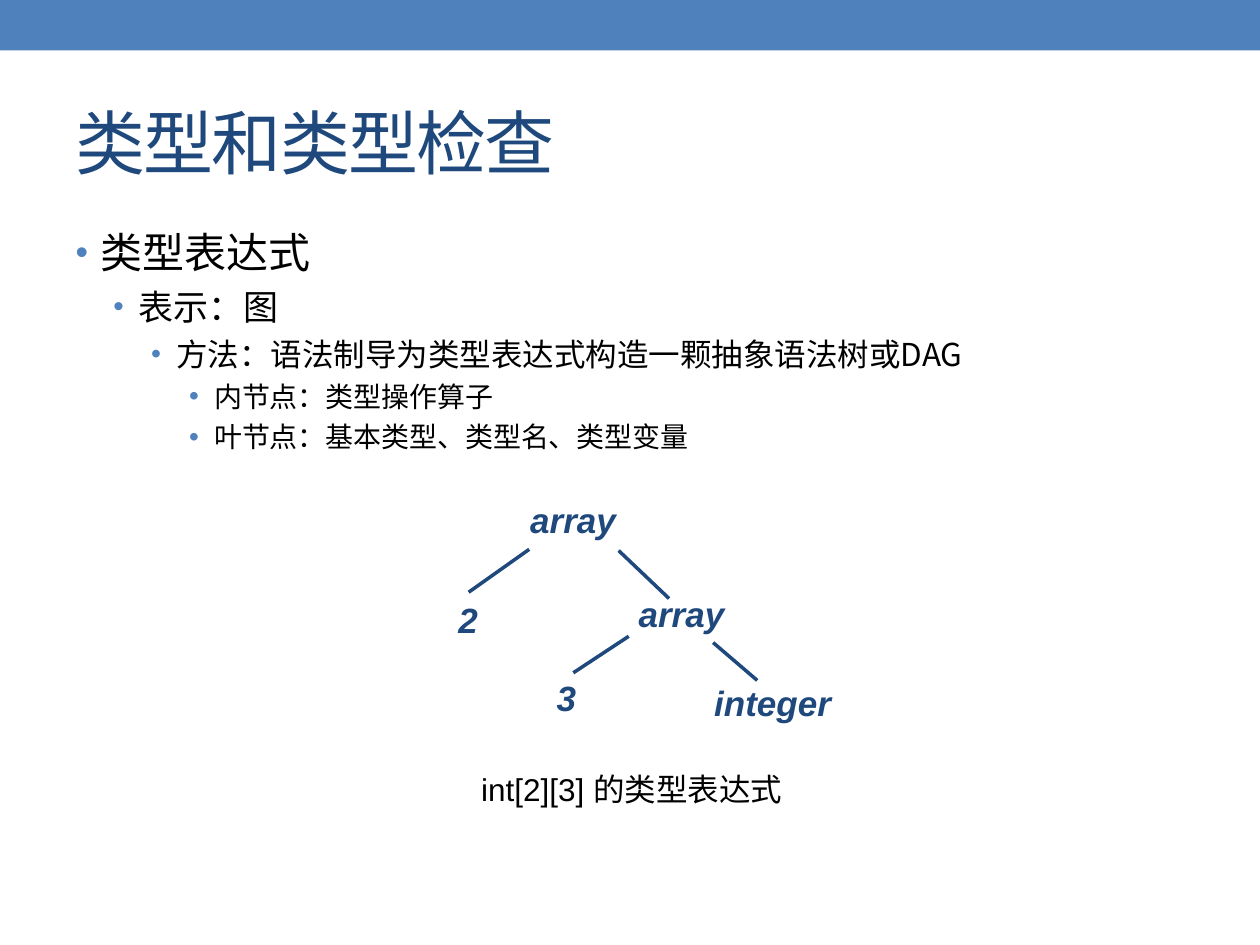
from lxml import etree
from pptx import Presentation
from pptx.dml.color import RGBColor
from pptx.enum import shapes, text
from pptx.oxml import ns
from pptx.util import Inches, Pt

CJK = "Noto Sans CJK SC"
BLUE, NAVY, BLACK = "4F81BD", "1F497D", "000000"


def rgb(value):
    return RGBColor.from_string(value)


def add_run(p, words, color, **fmt):
    """Add a run whose East Asian glyphs use the CJK font."""
    r = p.add_run()
    r.text = words
    for name, value in fmt.items():
        setattr(r.font, name, value)
    r.font.color.rgb = rgb(color)
    etree.SubElement(r.font._element, ns.qn("a:ea"), typeface=CJK)
    return r


prs = Presentation()
prs.slide_width, prs.slide_height = Inches(10), Inches(7.5)
s = prs.slides.add_slide(prs.slide_layouts[1])

# Top band
band = s.shapes.add_shape(shapes.MSO_SHAPE.RECTANGLE, 0, 0, prs.slide_width, Inches(0.4))
band.shadow.inherit = False
band.fill.solid()
band.fill.fore_color.rgb = rgb(BLUE)
band.line.fill.background()

# Title
title, body = s.placeholders
title.left, title.top, title.width, title.height = map(Inches, (0.5, 0.58, 9, 1.08))
tf = title.text_frame
tf.vertical_anchor = text.MSO_ANCHOR.MIDDLE
tf.paragraphs[0].alignment = text.PP_ALIGN.LEFT
r = add_run(tf.paragraphs[0], "类型和类型检查", NAVY, name=CJK, size=Pt(40))
r.font._element.set("spc", "-100")

# Bulleted list: level, size, bullet percentage, words
items = [
    (0, 24, 85, "类型表达式"),
    (1, 20, 85, "表示：图"),
    (2, 18, 90, "方法：语法制导为类型表达式构造一颗抽象语法树或DAG"),
    (3, 16, 100, "内节点：类型操作算子"),
    (3, 16, 100, "叶节点：基本类型、类型名、类型变量"),
]
body.left, body.top, body.width, body.height = map(Inches, (0.5, 1.75, 9, 5.33))
tf = body.text_frame
tf.auto_size = text.MSO_AUTO_SIZE.NONE
for i, (level, size, percent, words) in enumerate(items):
    p = tf.add_paragraph() if i else tf.paragraphs[0]
    p.level = level
    pPr = p._p.get_or_add_pPr()
    pPr.set("marL", str(Inches(0.2 + 0.3 * level)))
    pPr.set("indent", str(Inches(-0.2)))
    bullet_color = etree.SubElement(pPr, ns.qn("a:buClr"))
    etree.SubElement(bullet_color, ns.qn("a:srgbClr"), val=BLUE)
    etree.SubElement(pPr, ns.qn("a:buSzPct"), val=str(percent * 1000))
    etree.SubElement(pPr, ns.qn("a:buFont"), typeface="Arial")
    etree.SubElement(pPr, ns.qn("a:buChar"), char="•")
    p.space_before = Pt(round(0.24 * size, 1) if i else 0)
    add_run(p, words, BLACK, name=CJK, size=Pt(size))

# Tree branches
branches = [
    (4.2, 4.36, 3.72, 4.7),
    (4.91, 4.37, 5.31, 4.75),
    (4.99, 5.05, 4.55, 5.34),
    (5.66, 5.1, 6.01, 5.4),
]
for ends in branches:
    line = s.shapes.add_connector(shapes.MSO_CONNECTOR.STRAIGHT, *map(Inches, ends))
    line.line.color.rgb = rgb(NAVY)
    line.line.width = Pt(2)
    etree.SubElement(line._element.spPr, ns.qn("a:effectLst"))

# Tree nodes and caption: words, left, top, width, height, wrap, colour, format
node = dict(name="Arial", size=Pt(20), bold=True, italic=True)
labels = [
    ("array", 4.11, 3.91, 0.89, 0.44, False, NAVY, node),
    ("2", 3.54, 4.7, 0.36, 0.44, False, NAVY, node),
    ("array", 4.97, 4.65, 0.89, 0.44, False, NAVY, node),
    ("3", 4.32, 5.32, 0.36, 0.44, False, NAVY, node),
    ("integer", 5.57, 5.36, 1.14, 0.44, False, NAVY, node),
    ("int[2][3] 的类型表达式", 3.72, 6.06, 2.61, 0.4, True, BLACK,
     dict(name="Arial", size=Pt(18))),
]
for words, x, y, w, h, wrap, color, fmt in labels:
    tf = s.shapes.add_textbox(*map(Inches, (x, y, w, h))).text_frame
    tf.word_wrap = wrap
    tf.auto_size = text.MSO_AUTO_SIZE.SHAPE_TO_FIT_TEXT
    add_run(tf.paragraphs[0], words, color, **fmt)

prs.save("out.pptx")
